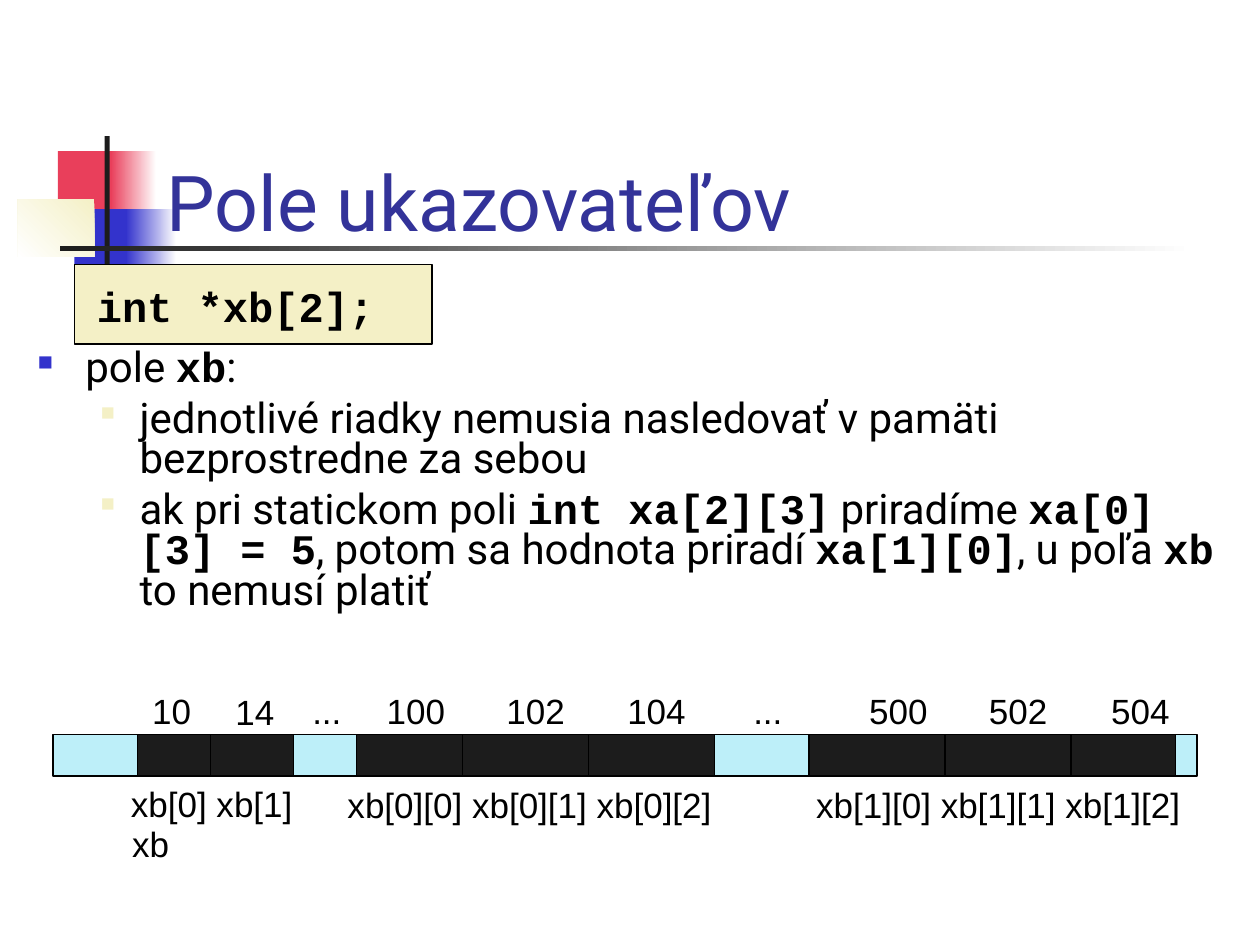
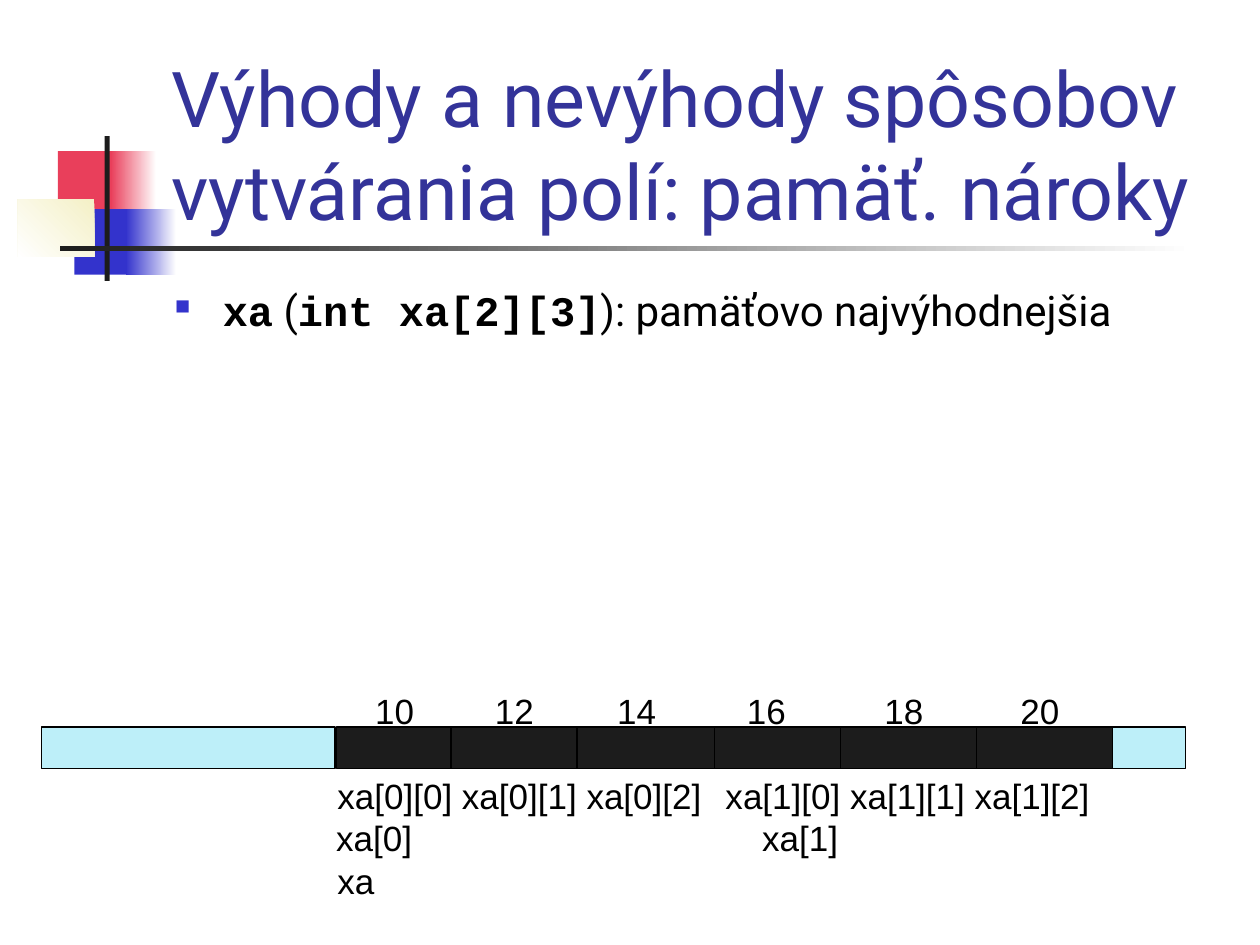
import pptx
import pptx.util
import pptx.dml.color
import pptx.enum.text
import pptx.enum.shapes
import pptx.oxml
import pptx.oxml.ns

PX = 9144
DARK, PALE, CREAM, BLUE, RED = "1C1C1C", "BDEFF9", "F4F0C6", "3333CC", "E93F5B"
BLACK, WHITE, NAVY = "000000", "FFFFFF", "333399"
SANS, MONO, PLAIN = "Roboto", "Courier New", "Arial"
LEVELS = [
    {"left": 38, "hang": 38, "tint": BLUE, "size": 50},
    {"left": 81, "hang": 31, "tint": CREAM, "size": 46},
]

DECOR = [
    ((46, 120, 48, 52), [RED], 0),
    ((88, 120, 36, 52), [WHITE, RED], 180),
    ((59, 166, 46, 52), [BLUE], 0),
    ((100, 166, 40, 52), [WHITE, BLUE], 180),
    ((14, 158, 61, 46), [CREAM, WHITE], 225),
    ((83, 108, 4, 115), [DARK], 0),
    ((48, 195, 900, 4), [WHITE, DARK], 180),
]

SLIDES = [
    {
        "title": ("Pole ukazovateľov", (122, 76, 852, 125)),
        "code": ("int *xb[2];", (59, 210, 284, 63), (67, 218, 268, 50)),
        "body": (20, 273, 960, 231),
        "space": 0.8,
        "items": [
            (0, "pole `xb`:"),
            (1, "jednotlivé riadky nemusia nasledovať v pamäti bezprostredne za sebou"),
            (1, "ak pri statickom poli `int xa[2][3]` priradíme `xa[0][3] = 5`, potom sa "
                "hodnota priradí `xa[1][0]`, u poľa `xb` to nemusí platiť"),
        ],
        "bar": (108, 583, 833, 33),
        "cuts": [167, 367, 467, 750, 850],
        "gaps": [(42, 67), (233, 50), (567, 75), (933, 17)],
        "tags": [
            ("10", 111, 542, 53), ("14", 177, 543, 53), ("...", 238, 542, 45),
            ("100", 297, 542, 69), ("102", 392, 542, 69), ("104", 488, 542, 69),
            ("...", 588, 542, 45),
            ("500", 680, 542, 69), ("502", 775, 542, 69), ("504", 872, 542, 69),
            ("xb[0] xb[1]", 94, 616, 152),
            ("xb[0][0] xb[0][1] xb[0][2]", 266, 617, 313),
            ("xb[1][0] xb[1][1] xb[1][2]", 638, 617, 313),
            ("xb", 95, 648, 53),
        ],
    },
    {
        "title": ("Výhody a nevýhody spôsobov vytvárania polí: pamäť. nároky",
                  (126, 67, 852, 125)),
        "body": (129, 221, 850, 291),
        "space": 1.0,
        "items": [(0, "`xa` (`int xa[2][3]`): pamäťovo najvýhodnejšia")],
        "bar": (267, 577, 617, 33),
        "cuts": [358, 458, 567, 667, 775],
        "gaps": [(33, 233), (883, 58)],
        "tags": [
            ("10", 288, 542, 53), ("12", 383, 542, 53), ("14", 480, 542, 53),
            ("16", 583, 542, 53), ("18", 692, 542, 53), ("20", 800, 542, 53),
            ("xa[0][0] xa[0][1] xa[0][2]", 258, 610, 313),
            ("xa[1][0] xa[1][1] xa[1][2]", 566, 610, 313),
            ("xa[0]", 257, 643, 85), ("xa[1]", 595, 643, 85),
            ("xa", 258, 677, 53),
        ],
    },
]


def rgb(code):
    return pptx.dml.color.RGBColor.from_string(code)


def emu(box):
    return [n * PX for n in box]


def style(font, name, size, tint, bold=False):
    font.name, font.size, font.bold = name, pptx.util.Pt(size), bold
    font.color.rgb = rgb(tint)


def edge(line):
    line.color.rgb = rgb(BLACK)
    line.width = pptx.util.Pt(0.75)


def rect(slide, box, tints, angle=0, lined=False):
    shape = slide.shapes.add_shape(pptx.enum.shapes.MSO_SHAPE.RECTANGLE, *emu(box))
    shape.shadow.inherit = False
    if len(tints) == 1:
        shape.fill.solid()
        shape.fill.fore_color.rgb = rgb(tints[0])
    else:
        shape.fill.gradient()
        shape.fill.gradient_angle = angle
        for stop, tint in zip(shape.fill.gradient_stops, tints):
            stop.color.rgb = rgb(tint)
    if lined:
        edge(shape.line)
    else:
        shape.line.fill.background()
    return shape


def label(slide, text, box, name=PLAIN, size=20, bold=False):
    frame = slide.shapes.add_textbox(*emu(box)).text_frame
    frame.text = text
    frame.word_wrap = False
    frame.auto_size = pptx.enum.text.MSO_AUTO_SIZE.NONE
    para = frame.paragraphs[0]
    para.alignment = pptx.enum.text.PP_ALIGN.LEFT
    style(para.runs[0].font, name, size, BLACK, bold)


def head(slide, text, box):
    shape = slide.shapes.title
    shape.left, shape.top, shape.width, shape.height = emu(box)
    frame = shape.text_frame
    frame.text = text
    frame.word_wrap = True
    frame.auto_size = pptx.enum.text.MSO_AUTO_SIZE.NONE
    frame.vertical_anchor = pptx.enum.text.MSO_ANCHOR.BOTTOM
    para = frame.paragraphs[0]
    para.alignment = pptx.enum.text.PP_ALIGN.LEFT
    style(para.runs[0].font, SANS, 44, NAVY)


def bullet(para, level):
    look = LEVELS[level]
    para.level = level
    props = para._p.get_or_add_pPr()
    props.set("marL", str(look["left"] * PX))
    props.set("indent", str(-look["hang"] * PX))
    space = pptx.oxml.ns.nsdecls("a")
    for xml in (
        f'<a:buClr {space}><a:srgbClr val="{look["tint"]}"/></a:buClr>',
        f'<a:buSzPct {space} val="{look["size"] * 1000}"/>',
        f'<a:buChar {space} char="■"/>',
    ):
        props.append(pptx.oxml.parse_xml(xml))


def body(slide, box, items, space):
    frame = slide.shapes.add_textbox(*emu(box)).text_frame
    frame.word_wrap = True
    for i, (level, text) in enumerate(items):
        para = frame.add_paragraph() if i else frame.paragraphs[0]
        bullet(para, level)
        para.line_spacing = space
        if i:
            para.space_before = pptx.util.Pt(6)
        for j, part in enumerate(text.split("`")):
            if part:
                run = para.add_run()
                run.text = part
                code = j % 2 == 1
                style(run.font, MONO if code else SANS, 24, BLACK, code)


def memory(slide, bar, cuts, gaps, tags):
    rect(slide, bar, [DARK], lined=True)
    top, high = bar[1], bar[3]
    for x in cuts:
        line = slide.shapes.add_connector(
            pptx.enum.shapes.MSO_CONNECTOR.STRAIGHT, *emu((x, top, x, top + high)))
        edge(line.line)
        line._element.spPr.append(pptx.oxml.parse_xml(
            f'<a:effectLst {pptx.oxml.ns.nsdecls("a")}/>'))
    for x, wide in gaps:
        rect(slide, (x, top, wide, high), [PALE], lined=True)
    for text, x, y, wide in tags:
        label(slide, text, (x, y, wide, 44))


def decorate(slide):
    tree = slide.slide_layout.shapes._spTree
    for i, (box, tints, angle) in enumerate(DECOR):
        node = rect(slide, box, tints, angle)._element
        node.nvSpPr.cNvPr.set("id", str(20 + i))
        tree.append(node)


def main():
    deck = pptx.Presentation()
    deck.slide_width, deck.slide_height = emu((1000, 750))
    for i, data in enumerate(SLIDES):
        slide = deck.slides.add_slide(deck.slide_layouts[5])
        if i == 0:
            decorate(slide)
        head(slide, *data["title"])
        if "code" in data:
            text, frame, box = data["code"]
            rect(slide, frame, [CREAM], lined=True)
            label(slide, text, box, MONO, 24, True)
        body(slide, data["body"], data["items"], data["space"])
        memory(slide, data["bar"], data["cuts"], data["gaps"], data["tags"])
    deck.save("out.pptx")


if __name__ == "__main__":
    main()
